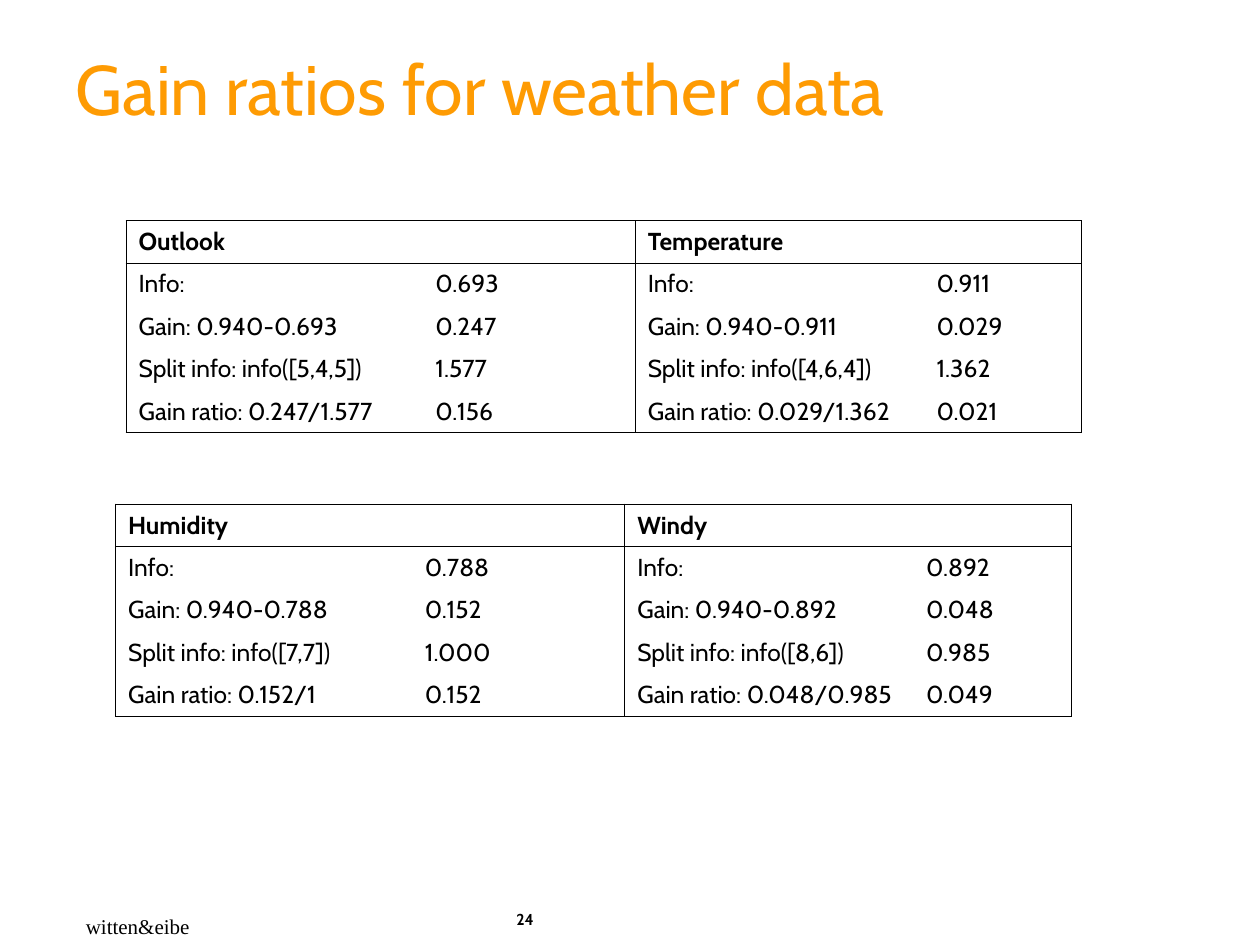
"""Build a slide with the gain ratios of the four weather attributes."""
from lxml import etree
from pptx import Presentation
from pptx.dml.color import RGBColor
from pptx.enum.text import MSO_ANCHOR, MSO_AUTO_SIZE, PP_ALIGN
from pptx.util import Pt

LEFT = PP_ALIGN.LEFT
TOP, MIDDLE = MSO_ANCHOR.TOP, MSO_ANCHOR.MIDDLE
GROW, FIXED = MSO_AUTO_SIZE.SHAPE_TO_FIT_TEXT, MSO_AUTO_SIZE.NONE
NS = "http://schemas.openxmlformats.org/drawingml/2006/main"
BLACK, ORANGE = "000000", "FE9B03"
COLUMN_WIDTHS = [169.6, 121.4, 165, 90]
ROW_HEIGHT = 24.12


def write(frame, text, size, color=BLACK, font="Cabin", bold=False):
    frame.text = text
    paragraph = frame.paragraphs[0]
    paragraph.alignment = LEFT
    run_font = paragraph.runs[0].font
    for key, value in {"name": font, "size": Pt(size), "bold": bold}.items():
        setattr(run_font, key, value)
    run_font.color.rgb = RGBColor.from_string(color)


def draw_borders(cell, sides):
    properties = cell._tc.get_or_add_tcPr()
    for side, visible in sides.items():
        line = etree.SubElement(properties, f"{{{NS}}}ln{side}", w=str(Pt(0.45)))
        if visible:
            fill = etree.SubElement(line, f"{{{NS}}}solidFill")
            etree.SubElement(fill, f"{{{NS}}}srgbClr", val=BLACK)
        else:
            etree.SubElement(line, f"{{{NS}}}noFill")
    cell.fill.background()


presentation = Presentation()
presentation.slide_width, presentation.slide_height = Pt(720), Pt(540)
slide = presentation.slides.add_slide(presentation.slide_layouts[5])

title = slide.shapes.title
title_format = {"left": Pt(36), "top": Pt(18), "width": Pt(654), "height": Pt(72)}
for key, value in title_format.items():
    setattr(title, key, value)
title.text_frame.vertical_anchor = MIDDLE
write(title.text_frame, "Gain ratios for weather data", 40, ORANGE)
title.text_frame.paragraphs[0].line_spacing = 0.85

attribute_tables = [
    (72, 126, [
        ["Outlook", "", "Temperature", ""],
        ["Info:", "0.693", "Info:", "0.911"],
        ["Gain: 0.940-0.693", "0.247", "Gain: 0.940-0.911", "0.029"],
        ["Split info: info([5,4,5])", "1.577", "Split info: info([4,6,4])", "1.362"],
        ["Gain ratio: 0.247/1.577", "0.156", "Gain ratio: 0.029/1.362", "0.021"],
    ]),
    (66, 288, [
        ["Humidity", "", "Windy", ""],
        ["Info:", "0.788", "Info:", "0.892"],
        ["Gain: 0.940-0.788", "0.152", "Gain: 0.940-0.892", "0.048"],
        ["Split info: info([7,7])", "1.000", "Split info: info([8,6])", "0.985"],
        ["Gain ratio: 0.152/1", "0.152", "Gain ratio: 0.048/0.985", "0.049"],
    ]),
]

for left, top, rows in attribute_tables:
    table = slide.shapes.add_table(
        len(rows), len(COLUMN_WIDTHS), Pt(left), Pt(top),
        Pt(sum(COLUMN_WIDTHS)), Pt(ROW_HEIGHT * len(rows))).table
    table.first_row = table.horz_banding = False
    for column, width in zip(table.columns, COLUMN_WIDTHS):
        column.width = Pt(width)
    for row in table.rows:
        row.height = Pt(ROW_HEIGHT)
    for first in (0, 2):
        table.cell(0, first).merge(table.cell(0, first + 1))
    for r, texts in enumerate(rows):
        for c, text in enumerate(texts):
            cell = table.cell(r, c)
            header = r == 0
            draw_borders(cell, {
                "L": header or c % 2 == 0,
                "R": header or c % 2 == 1,
                "T": r < 2,
                "B": header or r == len(rows) - 1,
            })
            if text:
                write(cell.text_frame, text, 14, bold=header)

footers = [
    ("witten&eibe", 42, 518.4, 75, 21.6,
     {"word_wrap": False, "auto_size": GROW},
     {"size": 12, "font": "Times New Roman"}),
    ("24", 288, 516.2, 73.4, 23.8,
     {"word_wrap": True, "auto_size": FIXED},
     {"size": 9, "bold": True}),
]
for text, left, top, width, height, frame_format, text_format in footers:
    frame = slide.shapes.add_textbox(
        Pt(left), Pt(top), Pt(width), Pt(height)).text_frame
    for key, value in {"vertical_anchor": TOP, **frame_format}.items():
        setattr(frame, key, value)
    write(frame, text, **text_format)

presentation.save("out.pptx")
